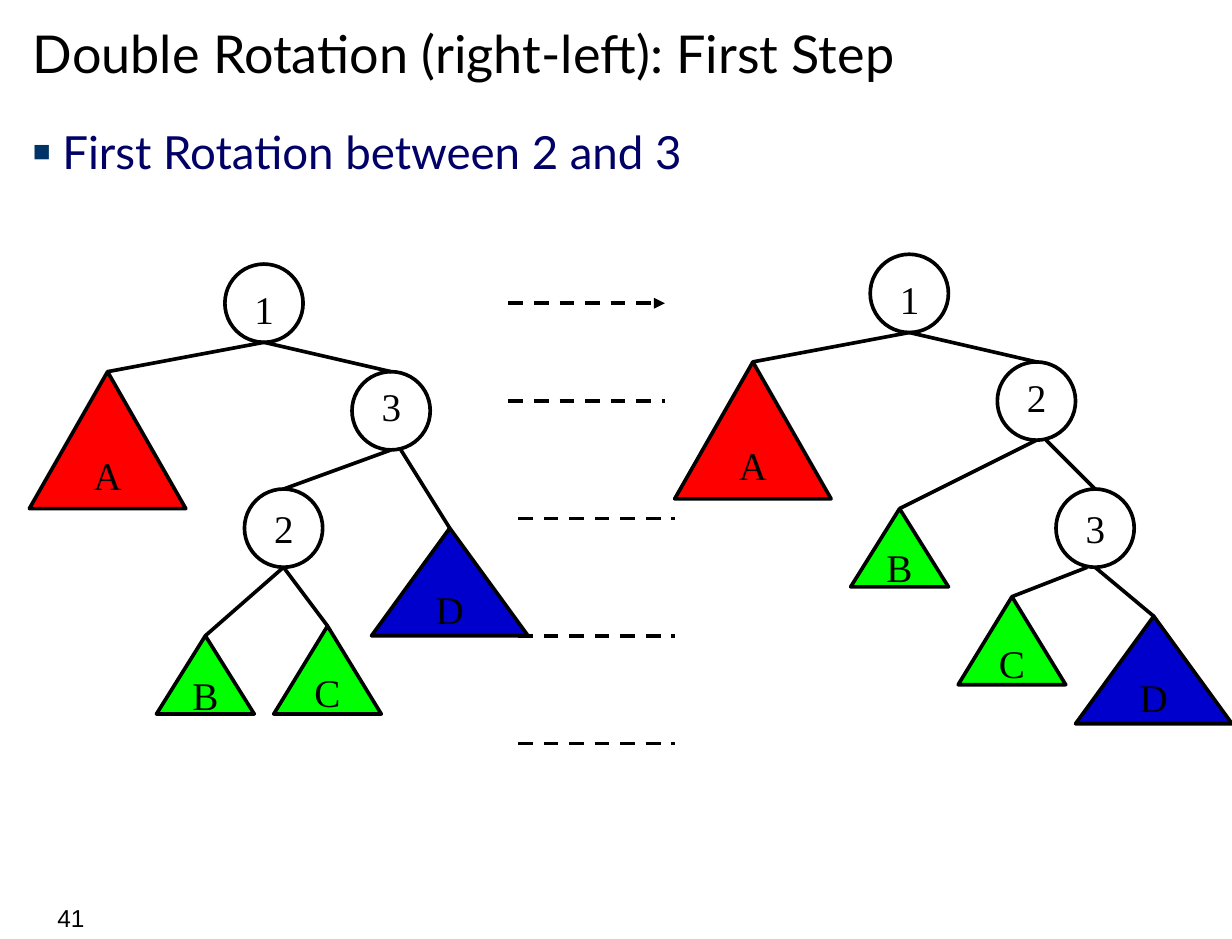
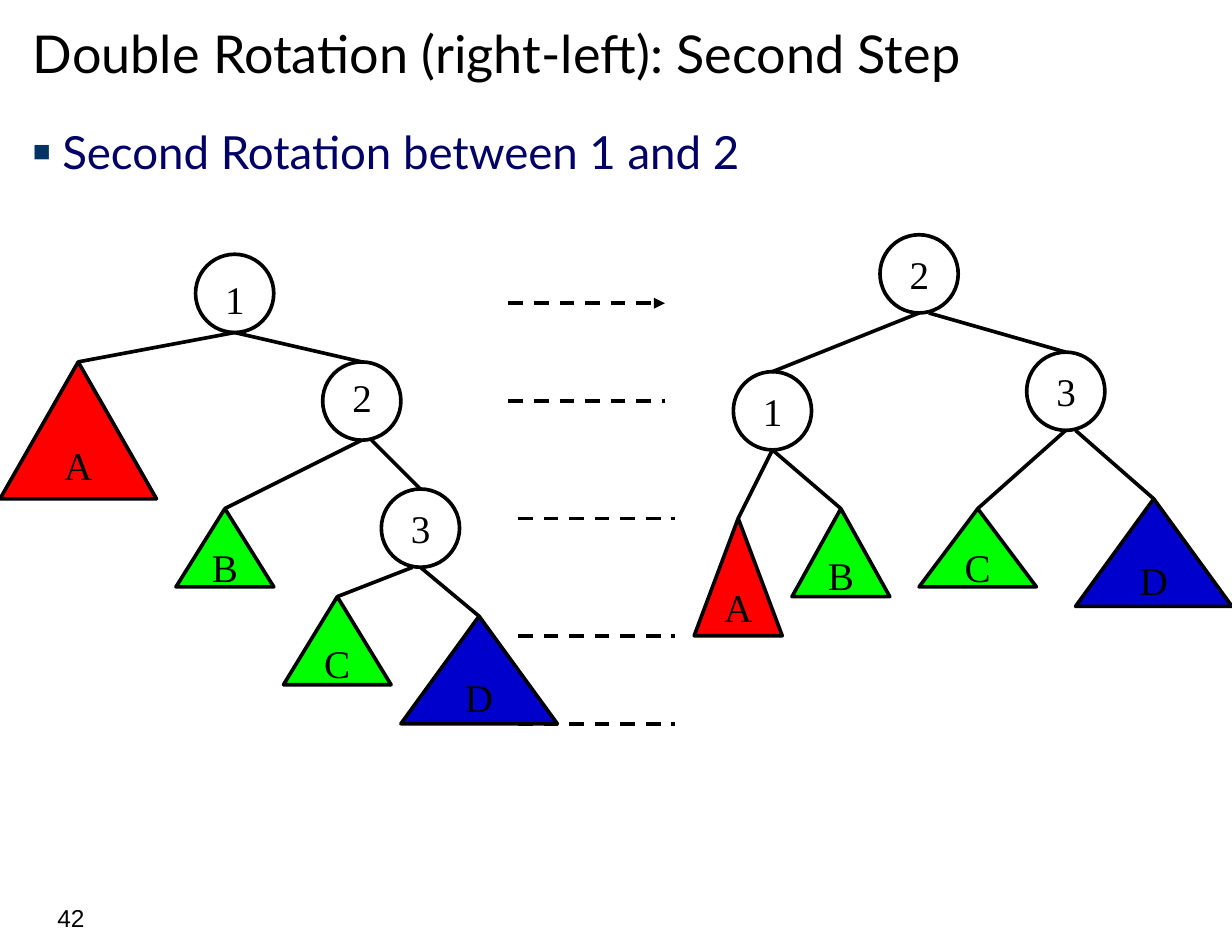
"""Builds two slides on the right-left double rotation of a search tree."""
from dataclasses import dataclass

import pptx
import pptx.dml.color
import pptx.enum.dml
import pptx.enum.shapes
import pptx.enum.text
import pptx.oxml
import pptx.oxml.ns
import pptx.util

Cm, Pt = pptx.util.Cm, pptx.util.Pt
SHAPE = pptx.enum.shapes.MSO_SHAPE
ALIGN = pptx.enum.text.PP_ALIGN
ANCHOR = pptx.enum.text.MSO_ANCHOR
NODE_SIZE = 8
LABEL_WIDTH, LABEL_HEIGHT = 4.3, 6
ARROW_LENGTH = 16


@dataclass(frozen=True)
class Theme:
    """Colours, fonts and type sizes of the deck."""
    ink: str = "000000"
    body: str = "000066"
    bullet: str = "003366"
    heading_font: str = "Lato"
    label_font: str = "Times New Roman"
    number_font: str = "Arial"
    title_size: float = 32
    body_size: float = 28
    label_size: float = 24
    number_size: float = 15
    line_width: float = 2.25


@dataclass(frozen=True)
class Tree:
    """Nodes as (x, y, label drop), subtrees as (x, y, w, h), edges as (parent, child, start shift)."""
    nodes: dict
    subtrees: dict
    edges: tuple


THEME = Theme()
SUBTREE_FILLS = {"A": "FF0000", "B": "00FF00", "C": "00FF00", "D": "0000CC"}

START = Tree(
    {"1": (23, 27, 1.6), "3": (36, 38, 0.5), "2": (25, 50, 1)},
    {"A": (3, 38, 16, 14), "B": (16, 65, 10, 8), "C": (28, 64, 11, 9), "D": (38, 54, 16, 11)},
    (("1", "A", 0), ("1", "3", 0), ("3", "2", 0), ("3", "D", 1), ("2", "B", 0), ("2", "C", 0)),
)
MIDDLE = Tree(
    {"1": (20, 26, 1.6), "2": (33, 37, 0.6), "3": (39, 50, 1)},
    {"A": (0, 37, 16, 14), "B": (18, 52, 10, 8), "C": (29, 61, 11, 9), "D": (41, 63, 16, 11)},
    (("1", "A", 0), ("1", "2", 0), ("2", "B", 0), ("2", "3", 1), ("3", "C", -0.8), ("3", "D", 0)),
)
BALANCED = Tree(
    {"2": (90, 24, 1), "1": (75, 38, 1), "3": (105, 36, 1)},
    {"A": (71, 53, 9, 12), "B": (81, 52, 10, 9), "C": (94, 52, 12, 8), "D": (110, 51, 16, 11)},
    (("2", "1", 0), ("2", "3", 1), ("1", "A", 0), ("1", "B", 0), ("3", "C", 0), ("3", "D", 1)),
)


def grid(*steps):
    """Turn counts of the drawing grid, twelve to 2.54 cm, into lengths."""
    return [Cm(step * 2.54 / 12) for step in steps]


def rgb(value):
    """Return a colour from its hex value."""
    return pptx.dml.color.RGBColor.from_string(value)


def add_element(parent, tag, **attributes):
    """Append a drawing element with the given attributes."""
    element = pptx.oxml.parse_xml(f"<a:{tag} {pptx.oxml.ns.nsdecls('a')}/>")
    for name, value in attributes.items():
        element.set(name, value)
    parent.append(element)
    return element


def set_text(sp, text, font, size, color, align=ALIGN.LEFT):
    """Write one paragraph into a shape and format it."""
    tf = sp.text_frame
    tf.text = text
    p = tf.paragraphs[0]
    p.alignment = align
    p.space_before = Pt(0)
    r = p.runs[0]
    r.font.name, r.font.size, r.font.bold = font, Pt(size), False
    r.font.color.rgb = rgb(color)
    return p


def place(sp, left, top, width, height, anchor=ANCHOR.TOP):
    """Place a text shape, given in centimetres, and set its insets."""
    sp.left, sp.top, sp.width, sp.height = Cm(left), Cm(top), Cm(width), Cm(height)
    tf = sp.text_frame
    tf.word_wrap = True
    tf.auto_size = pptx.enum.text.MSO_AUTO_SIZE.NONE
    tf.vertical_anchor = anchor
    tf.margin_left = tf.margin_right = Cm(0.28)
    tf.margin_top = tf.margin_bottom = Cm(0.13)


def add_bullet(p):
    """Give a paragraph the square bullet."""
    pPr = p._p.get_or_add_pPr()
    pPr.set("marL", str(Cm(0.64)))
    pPr.set("indent", str(-Cm(0.64)))
    add_element(add_element(pPr, "buClr"), "srgbClr", val=THEME.bullet)
    add_element(pPr, "buSzPct", val="65000")
    add_element(pPr, "buFont", typeface=THEME.number_font)
    add_element(pPr, "buChar", char="■")


def add_slide(prs, title, bullet, number):
    """Add a slide with its title, bullet and slide number."""
    s = prs.slides.add_slide(prs.slide_layouts[1])
    place(s.shapes.title, 0.43, 0, 25.65, 2.26, ANCHOR.MIDDLE)
    set_text(s.shapes.title, title, THEME.heading_font, THEME.title_size, THEME.ink)
    body = s.placeholders[1]
    place(body, 0.43, 2.54, 25.65, 16.66)
    add_bullet(set_text(body, bullet, THEME.heading_font, THEME.body_size, THEME.body))
    sp = s.shapes.add_textbox(0, 0, 0, 0)
    place(sp, 0, 19.41, 2.11, 0.91)
    set_text(sp, str(number), THEME.number_font, THEME.number_size, THEME.ink, ALIGN.RIGHT)
    return s


def set_outline(sp):
    """Give a shape or connector the common outline."""
    sp.line.color.rgb = rgb(THEME.ink)
    sp.line.width = Pt(THEME.line_width)


def add_line(s, x1, y1, x2, y2):
    """Draw a plain line between two grid points."""
    cx = s.shapes.add_connector(pptx.enum.shapes.MSO_CONNECTOR.STRAIGHT, *grid(x1, y1, x2, y2))
    set_outline(cx)
    add_element(cx._element.spPr, "effectLst")
    return cx


def add_label(sp, text):
    """Write a tree label into a shape."""
    set_text(sp, text, THEME.label_font, THEME.label_size, THEME.ink, ALIGN.CENTER)
    sp.text_frame.word_wrap = False


def add_node(s, name, x, y, drop):
    """Draw a round node with its key."""
    sp = s.shapes.add_shape(SHAPE.OVAL, *grid(x, y, NODE_SIZE, NODE_SIZE))
    sp.shadow.inherit = False
    sp.fill.background()
    set_outline(sp)
    left = x + (NODE_SIZE - LABEL_WIDTH) / 2
    add_label(s.shapes.add_textbox(*grid(left, y + drop, LABEL_WIDTH, LABEL_HEIGHT)), name)
    return sp


def add_subtree(s, name, x, y, width, height):
    """Draw a subtree as a filled triangle."""
    sp = s.shapes.add_shape(SHAPE.ISOSCELES_TRIANGLE, *grid(x, y, width, height))
    sp.shadow.inherit = False
    sp.fill.solid()
    sp.fill.fore_color.rgb = rgb(SUBTREE_FILLS[name])
    set_outline(sp)
    add_label(sp, name)
    return sp


def add_tree(s, tree, shift=0):
    """Draw a tree, moved sideways by a number of grid steps."""
    parts = {name: add_node(s, name, x + shift, y, drop)
             for name, (x, y, drop) in tree.nodes.items()}
    for name, (x, *rest) in tree.subtrees.items():
        parts[name] = add_subtree(s, name, x + shift, *rest)
    for parent, child, start_shift in tree.edges:
        x, y, _ = tree.nodes[parent]
        start = x + shift + NODE_SIZE / 2 + start_shift, y + NODE_SIZE
        add_line(s, *start, *start).end_connect(parts[child], 0)


def add_divider(s, last_y):
    """Draw the dashed lines between the trees, the first one an arrow."""
    for i, (x, y) in enumerate(((52, 31), (52, 41), (53, 53), (53, 65), (53, last_y))):
        cx = add_line(s, x, y, x + ARROW_LENGTH, y)
        cx.line.dash_style = pptx.enum.dml.MSO_LINE.DASH
        if i == 0:
            add_element(cx.line._get_or_add_ln(), "tailEnd", type="triangle")


def main():
    """Build and save the deck."""
    prs = pptx.Presentation()
    prs.slide_width, prs.slide_height = Cm(26.67), Cm(20.32)

    s = add_slide(prs, "Double Rotation (right-left): First Step",
                  "First Rotation between 2 and 3", 41)
    add_divider(s, 76)
    add_tree(s, START)
    add_tree(s, MIDDLE, 69)

    s = add_slide(prs, "Double Rotation (right-left): Second Step",
                  "Second Rotation between 1 and 2", 42)
    add_divider(s, 74)
    add_tree(s, MIDDLE)
    add_tree(s, BALANCED)

    prs.save("out.pptx")


if __name__ == "__main__":
    main()
